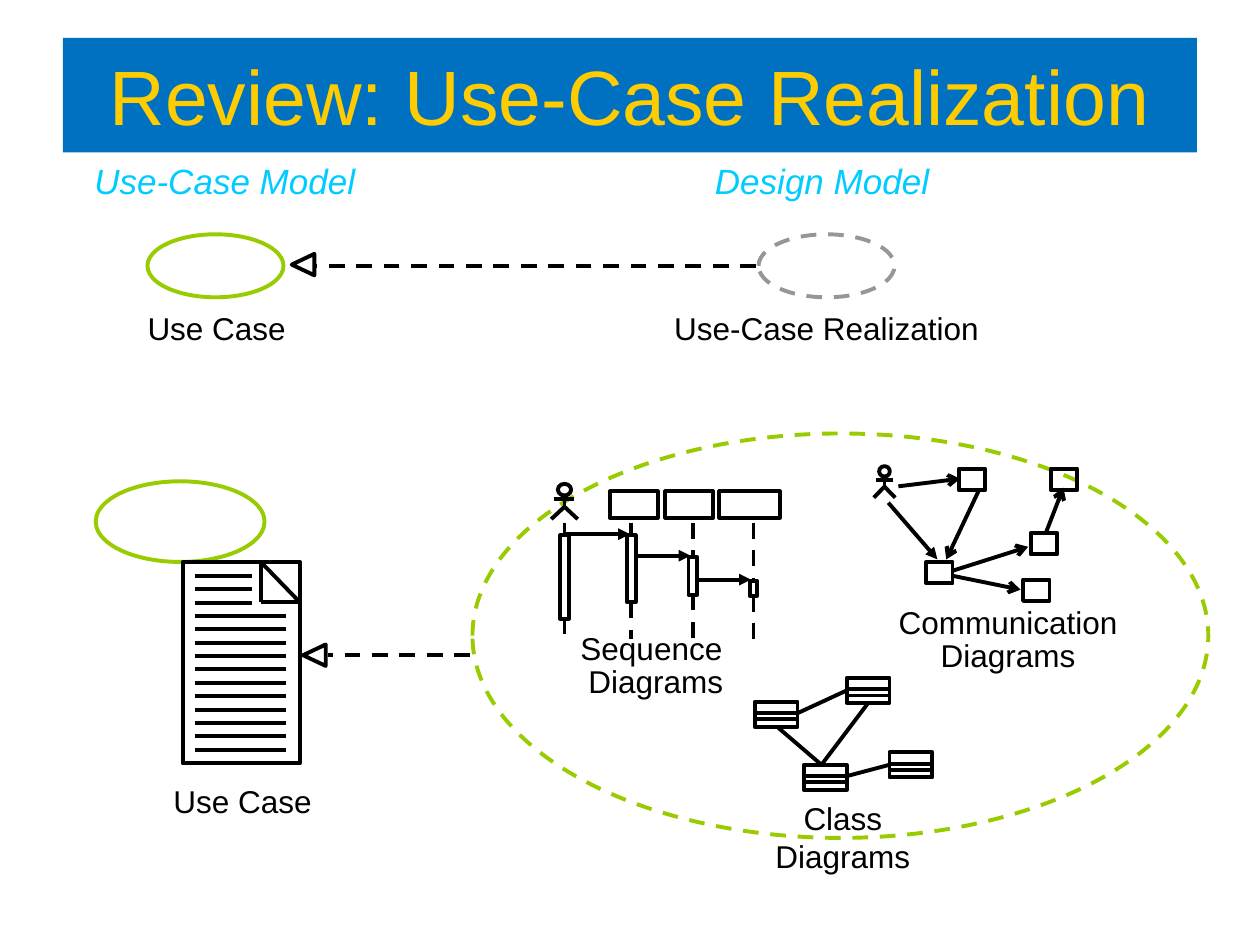
from lxml import etree
from pptx import Presentation
from pptx.dml.color import RGBColor
from pptx.enum.dml import MSO_LINE
from pptx.enum.shapes import MSO_CONNECTOR, MSO_SHAPE
from pptx.enum.text import MSO_ANCHOR, PP_ALIGN
from pptx.oxml.ns import qn
from pptx.util import Cm, Pt

STRAIGHT = MSO_CONNECTOR.STRAIGHT
RECT, OVAL, TRIANGLE = MSO_SHAPE.RECTANGLE, MSO_SHAPE.OVAL, MSO_SHAPE.ISOSCELES_TRIANGLE
DASH, CENTER, LEFT = MSO_LINE.DASH, PP_ALIGN.CENTER, PP_ALIGN.LEFT
COLORS = {"banner": "0070C0", "title": "FFCC00", "heading": "00CCFF",
          "ink": "000000", "use_case": "99CC00", "realization": "969696"}
UNIT = 2.54  # centimetres per layout unit; all positions below are in units

# Content: text, box, alignment, wrap, line spacing in points
TITLE = "Review: Use-Case Realization"
HEADINGS = [("Use-Case Model", (0.65, 1.22, 2.3, 0.44), LEFT),
            ("Design Model", (5.5, 1.22, 2.05, 0.44), CENTER)]
LABELS = [
    ("Use Case", (1.07, 2.4, 1.3, 0.4), False, None),
    ("Use-Case Realization", (5.25, 2.4, 2.62, 0.4), False, None),
    ("Use Case", (1.08, 6.16, 1.69, 0.4), True, None),
    ("Sequence \vDiagrams", (4.44, 4.98, 1.53, 0.63), True, 19),
    ("Communication Diagrams", (6.59, 4.77, 2.82, 0.63), True, 19),
    ("Class Diagrams", (5.71, 6.29, 1.96, 0.4), False, None),
]
ELLIPSES = [((3.75, 3.44, 5.84, 3.21), "use_case", DASH),
            ((0.76, 3.82, 1.34, 0.64), "use_case", None),
            ((1.17, 1.86, 1.08, 0.5), "use_case", None),
            ((6.02, 1.86, 1.08, 0.5), "realization", DASH)]
# Realization arrows: line from, line to, triangle left and top
REALIZES = [((6, 2.11), (2.51, 2.11), (2.32, 2.01)),
            ((3.73, 5.2), (2.6, 5.2), (2.41, 5.11))]

CLASSES = [(5.99, 5.57), (6.72, 5.38), (6.38, 6.07), (7.06, 5.97)]
ASSOCIATIONS = [((6.52, 6.07), (6.17, 5.77)), ((6.33, 5.66), (6.72, 5.48)),
                ((6.72, 6.16), (7.06, 6.07)), ((6.52, 6.07), (6.89, 5.58))]

OBJECTS = [(7.61, 3.72), (7.35, 4.46), (8.12, 4.6), (8.18, 4.23), (8.34, 3.72)]
LINKS = [((7.05, 3.99), (7.44, 4.44), "triangle"), ((7.13, 3.86), (7.62, 3.8), "arrow"),
         ((7.56, 4.57), (8.1, 4.68), "arrow"), ((7.56, 4.53), (8.16, 4.34), "arrow"),
         ((8.3, 4.23), (8.44, 3.87), "arrow"), ((7.77, 3.89), (7.51, 4.44), "arrow")]

# Lifelines: x, activation top, bottom and width, end of the line
LIFELINES = [(4.48, 4.25, 4.91, 0.07, 5.07), (5.01, 4.25, 4.78, 0.07, 5.07),
             (5.5, 4.42, 4.72, 0.07, 5.06), (5.98, 4.61, 4.73, 0.06, 5.07)]
LIFELINE_TOP = 4.15
PARTICIPANTS = [(4.84, 0.38), (5.28, 0.38), (5.71, 0.48)]
MESSAGES = [(4.47, 5, 4.24), (5.04, 5.48, 4.41), (5.55, 5.96, 4.6)]


def lengths(values):
    return [Cm(value * UNIT) for value in values]


def color(name):
    return RGBColor.from_string(COLORS[name])


def stroke(line, ink, dash):
    line.color.rgb = color(ink)
    line.width = Pt(2.25)
    if dash:
        line.dash_style = dash


def outline(parent, kind, box, ink="ink", dash=None):
    shape = parent.add_shape(kind, *lengths(box))
    shape.shadow.inherit = False
    shape.fill.background()
    stroke(shape.line, ink, dash)
    return shape


def connect(parent, start, end, dash=None, arrow=None):
    link = parent.add_connector(STRAIGHT, *lengths((*start, *end)))
    stroke(link.line, "ink", dash)
    if arrow:
        etree.SubElement(link.line._get_or_add_ln(), qn("a:tailEnd"), type=arrow)
    etree.SubElement(link._element.spPr, qn("a:effectLst"))


def write(text, box, size, ink, align=CENTER, wrap=True, spacing=None, italic=None):
    textbox = slide.shapes.add_textbox(*lengths(box))
    frame = textbox.text_frame
    frame.word_wrap = wrap
    frame.text = text
    paragraph = frame.paragraphs[0]
    paragraph.alignment = align
    if spacing:
        paragraph.line_spacing = Pt(spacing)
    font = paragraph.font
    font.name, font.size, font.italic = "Arial", Pt(size), italic
    font.color.rgb = color(ink)
    return textbox


def draw_actor(parent, x, top, width, height):
    neck, arms, hips = (top + height * part for part in (0.33, 0.43, 0.65))
    outline(parent, OVAL, (x - width / 4, top, width / 2, neck - top))
    connect(parent, (x, neck), (x, hips))
    connect(parent, (x - width * 0.38, arms), (x + width * 0.38, arms))
    left, hip, right = (lengths(point) for point in (
        (x - width / 2, top + height), (x, hips), (x + width / 2, top + height)))
    builder = parent.build_freeform(*left)
    builder.add_line_segments([hip, right], close=False)
    legs = builder.convert_to_shape()
    legs.shadow.inherit = False
    legs.fill.background()
    stroke(legs.line, "ink", None)


prs = Presentation()
prs.slide_width, prs.slide_height = lengths((10, 7.5))
slide = prs.slides.add_slide(prs.slide_layouts[6])

# Title banner and ellipses
banner = write(TITLE, (0.5, 0.3, 9, 0.91), 44, "title")
banner.fill.solid()
banner.fill.fore_color.rgb = color("banner")
banner.text_frame.vertical_anchor = MSO_ANCHOR.MIDDLE
for box, ink, dash in ELLIPSES:
    outline(slide.shapes, OVAL, box, ink, dash)

# Class diagram
class_diagram = slide.shapes.add_group_shape().shapes
for x, y in CLASSES:
    outline(class_diagram, RECT, (x, y, 0.34, 0.2))
    for offset in (0.09, 0.14):
        connect(class_diagram, (x, y + offset), (x + 0.34, y + offset))
for start, end in ASSOCIATIONS:
    connect(class_diagram, start, end)

# Use-case document with a folded corner
document = slide.shapes.add_group_shape().shapes
outline(document, RECT, (1.45, 4.46, 0.93, 1.6))
fold = [(2.07, 4.46), (2.38, 4.78), (2.07, 4.78)]
for index, corner in enumerate(fold):
    connect(document, fold[index - 1], corner)
for row in range(14):
    y = 4.57 + row * 1.38 / 13
    connect(document, (1.55, y), (2 if row < 3 else 2.27, y))

# Communication diagram
communication = slide.shapes.add_group_shape().shapes
draw_actor(communication, 7.02, 3.7, 0.17, 0.25)
for start, end, arrow in LINKS:
    connect(communication, start, end, arrow=arrow)
for x, y in OBJECTS:
    outline(communication, RECT, (x, y, 0.21, 0.17))

# Sequence diagram
sequence = slide.shapes.add_group_shape().shapes
draw_actor(sequence, 4.48, 3.84, 0.21, 0.28)
for start, end, y in MESSAGES:
    connect(sequence, (start, y), (end, y), arrow="triangle")
for x, top, bottom, width, end in LIFELINES:
    connect(sequence, (x, LIFELINE_TOP), (x, top), DASH)
    outline(sequence, RECT, (x - width / 2, top, width, bottom - top))
    connect(sequence, (x, bottom), (x, end), DASH)
for x, width in PARTICIPANTS:
    outline(sequence, RECT, (x, 3.9, width, 0.21))

# Realization arrows
for start, end, (x, y) in REALIZES:
    connect(slide.shapes, start, end, DASH)
    outline(slide.shapes, TRIANGLE, (x, y, 0.17, 0.18)).rotation = 270

# Headings and labels
for text, box, align in HEADINGS:
    write(text, box, 20, "heading", align, italic=True)
for text, box, wrap, spacing in LABELS:
    write(text, box, 18, "ink", wrap=wrap, spacing=spacing)

prs.save("out.pptx")
